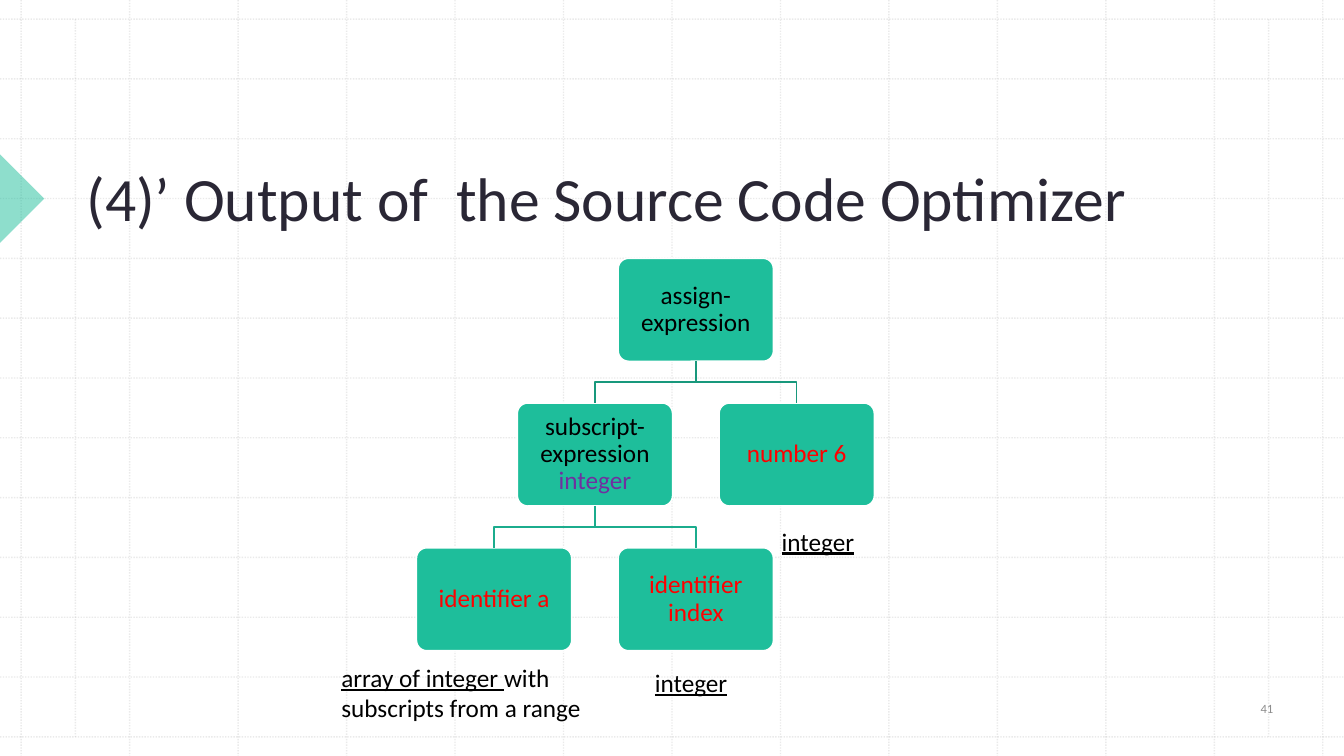
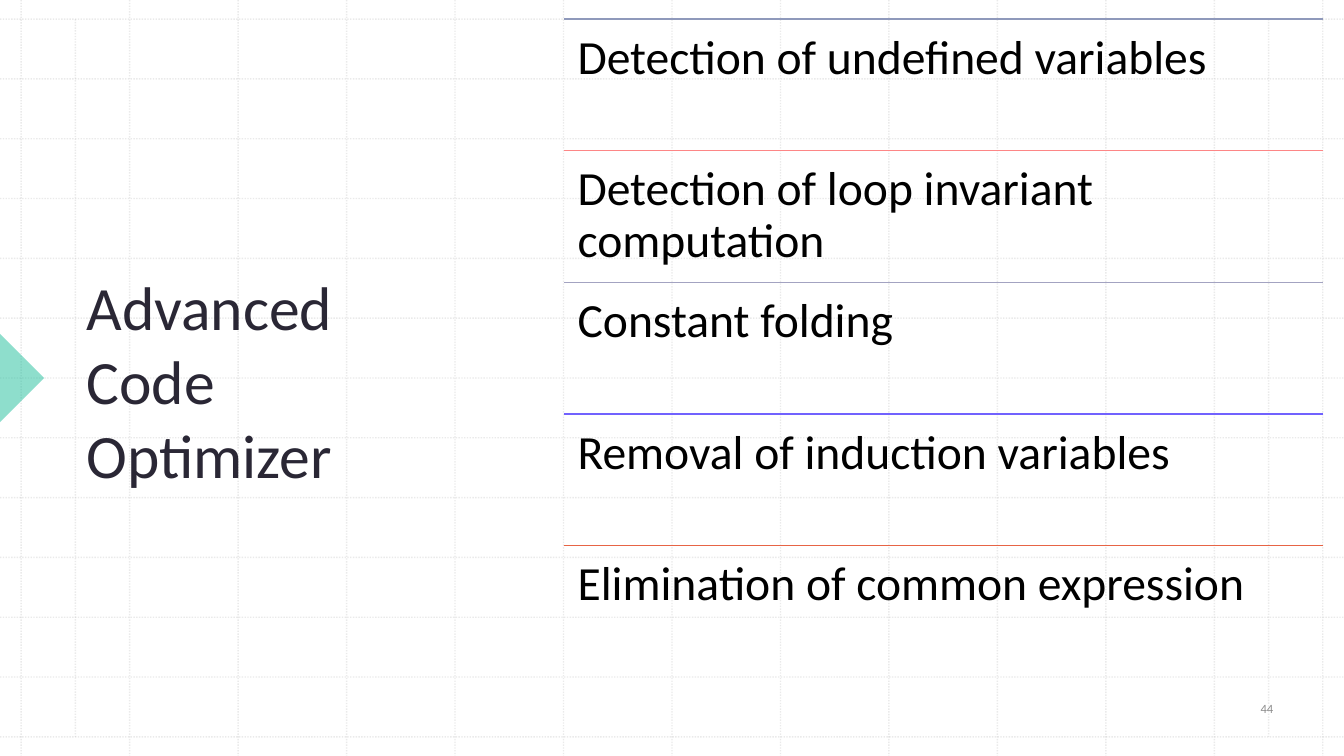
from lxml import etree
from pptx import Presentation
from pptx import util as u
from pptx.dml import color
from pptx.enum import dml, shapes, text
from pptx.oxml import ns

WIDTH, HEIGHT = 13.33, 7.5
CELLS = 12
LEFT, TOP = 0.21, 0.19
COLUMN = (13.12 - LEFT) / CELLS
ROW = (7.31 - TOP) / CELLS

FONT = "Calibri"
GREEN, WHITE, BLACK, RED, PURPLE = "1EBE9B", "FFFFFF", "000000", "FF0000", "7030A0"
GRID, TITLE, NUMBER = "BCBCBC", "2A2735", "8C8C8C"
UPPER_EDGE, LOWER_EDGE = "18987C", "1BAC8D"

NODE_WIDTH, NODE_HEIGHT = 1.43, 1.72
LEVEL_STEP, SIBLING_STEP = 2.42, 0.93
ROOT_COLUMN, ROOT_ROW = 6.22, 4
ITEM_ROWS = 2.2

NODES = {
    "assign": (0, 0, [("assign-expression", BLACK)]),
    "subscript": (-1, 1, [("subscript-expression\n", BLACK), ("integer", PURPLE)]),
    "number": (1, 1, [("number 6", RED)]),
    "identifier": (-2, 2, [("identifier a", RED)]),
    "index": (0, 2, [("identifier index", RED)]),
}
EDGES = [
    ("assign", "subscript", UPPER_EDGE),
    ("assign", "number", UPPER_EDGE),
    ("subscript", "identifier", LOWER_EDGE),
    ("subscript", "index", LOWER_EDGE),
]
LABELS = [
    ((2.86, 10.67, 2.73, 1.2), [("array of integer ", True), ("with subscripts from a range", False)]),
    ((5.75, 10.75, 0.94, 0.67), [("integer", True)]),
    ((6.92, 8.39, 0.94, 0.67), [("integer", True)]),
]
ITEMS = [
    ("Detection of undefined variables", "8F99BB"),
    ("Detection of loop invariant computation", "FD8686"),
    ("Constant folding", "A3A3C1"),
    ("Removal of induction variables", "7162FE"),
    ("Elimination of common expression", "E76445"),
]


def rgb(value):
    """Turn a hex string into a colour."""
    return color.RGBColor.from_string(value)


def x(column):
    """Horizontal position of a grid column."""
    return u.Inches(LEFT + column * COLUMN)


def y(row):
    """Vertical position of a grid row."""
    return u.Inches(TOP + row * ROW)


def box(column, row, columns, rows):
    """Left, top, width and height of a block of grid cells."""
    return x(column), y(row), u.Inches(columns * COLUMN), u.Inches(rows * ROW)


def set_alpha(fill, percent):
    """Make a solid fill partly transparent."""
    solid = fill._xPr.find(ns.qn("a:solidFill"))
    etree.SubElement(solid[0], ns.qn("a:alpha"), val=str(percent * 1000))


def add_line(slide, start, end, line_color, dash=None, alpha=None):
    """Draw a straight one-point line."""
    line = slide.shapes.add_connector(shapes.MSO_CONNECTOR.STRAIGHT, *start, *end)
    line.line.width = u.Pt(1)
    line.line.color.rgb = rgb(line_color)
    if dash:
        line.line.dash_style = dash
    if alpha:
        set_alpha(line.line.fill, alpha)
    etree.SubElement(line._element.spPr, ns.qn("a:effectLst"))


def write(shape, runs, size, align=text.PP_ALIGN.LEFT, anchor=text.MSO_ANCHOR.TOP,
          inset=None, spacing=1.0):
    """Fill a shape with one paragraph of (text, colour, underline) runs."""
    frame = shape.text_frame
    frame.word_wrap = True
    frame.vertical_anchor = anchor
    if inset is not None:
        frame.margin_left = frame.margin_right = u.Inches(inset)
        frame.margin_top = frame.margin_bottom = u.Inches(inset)
    paragraph = frame.paragraphs[0]
    paragraph.alignment = align
    paragraph.line_spacing = spacing
    paragraph.font.size = u.Pt(size)
    for words, run_color, underline in runs:
        run = paragraph.add_run()
        run.text = words.rstrip("\n")
        run.font.name = FONT
        run.font.size = u.Pt(size)
        run.font.color.rgb = rgb(run_color)
        run.font.underline = underline
        if words.endswith("\n"):
            paragraph.add_line_break()


def add_text(slide, place, runs, size, **layout):
    """Add a text box on a block of grid cells."""
    write(slide.shapes.add_textbox(*box(*place)), runs, size, **layout)


def add_grid(slide):
    """Draw the dotted background grid."""
    right, bottom = u.Inches(WIDTH), u.Inches(HEIGHT)
    lines = [((x(i), 0), (x(i), bottom)) for i in range(CELLS + 1)]
    lines += [((0, y(i)), (right, y(i))) for i in range(CELLS + 1)]
    lines += [((x(i), y(0)), (x(i), y(CELLS))) for i in (0.5, CELLS - 0.5)]
    for start, end in lines:
        add_line(slide, start, end, GRID, dml.MSO_LINE.ROUND_DOT, 30)


def add_marker(slide, row):
    """Add the arrowhead on the left edge, centred on a grid row."""
    side = u.Inches(0.62)
    marker = slide.shapes.add_shape(
        shapes.MSO_SHAPE.RIGHT_TRIANGLE, -side // 2, y(row) - side // 2, side, side)
    marker.rotation = 225
    marker.shadow.inherit = False
    marker.fill.solid()
    marker.fill.fore_color.rgb = rgb(GREEN)
    set_alpha(marker.fill, 50)
    marker.line.fill.background()


def add_slide(presentation, title, place, anchor, marker_row, number):
    """Add a slide with grid, marker, title and slide number."""
    slide = presentation.slides.add_slide(presentation.slide_layouts[6])
    add_grid(slide)
    add_marker(slide, marker_row)
    add_text(slide, place, [(title, TITLE, False)], 44, anchor=anchor)
    add_text(slide, (10.99, 11.14, 0.99, 0.78), [(number, NUMBER, False)], 9,
             align=text.PP_ALIGN.CENTER, anchor=text.MSO_ANCHOR.MIDDLE)
    return slide


def node_top(name):
    """Column of a node's centre and row of its top edge."""
    offset, level, _ = NODES[name]
    return ROOT_COLUMN + offset * SIBLING_STEP, ROOT_ROW + level * LEVEL_STEP


def add_edge(slide, parent, child, edge_color):
    """Draw the stepped line from a parent down to a child."""
    start, top = node_top(parent)
    end, bottom = node_top(child)
    top += NODE_HEIGHT
    middle = (top + bottom) / 2
    builder = slide.shapes.build_freeform(x(start), y(top))
    builder.add_line_segments(
        [(x(start), y(middle)), (x(end), y(middle)), (x(end), y(bottom))], close=False)
    edge = builder.convert_to_shape()
    edge.shadow.inherit = False
    edge.fill.background()
    edge.line.color.rgb = rgb(edge_color)
    edge.line.width = u.Pt(1)


def add_node(slide, name):
    """Draw one rounded tree node with its text."""
    center, top = node_top(name)
    node = slide.shapes.add_shape(
        shapes.MSO_SHAPE.ROUNDED_RECTANGLE,
        *box(center - NODE_WIDTH / 2, top, NODE_WIDTH, NODE_HEIGHT))
    node.adjustments[0] = 0.1
    node.shadow.inherit = False
    node.fill.solid()
    node.fill.fore_color.rgb = rgb(GREEN)
    node.line.color.rgb = rgb(WHITE)
    node.line.width = u.Pt(1)
    runs = [(words, run_color, False) for words, run_color in NODES[name][2]]
    write(node, runs, 18, align=text.PP_ALIGN.CENTER, anchor=text.MSO_ANCHOR.MIDDLE,
          inset=0.08, spacing=0.9)


def add_tree(slide):
    """Draw the syntax tree with its type labels."""
    for name in NODES:
        add_node(slide, name)
    for edge in EDGES:
        add_edge(slide, *edge)
    for place, runs in LABELS:
        add_text(slide, place, [(words, BLACK, underline) for words, underline in runs], 18)


def add_list(slide):
    """Draw the ruled list of optimizations."""
    for i, (words, line_color) in enumerate(ITEMS):
        row = i * ITEM_ROWS
        add_line(slide, (x(5), y(row)), (x(CELLS), y(row)), line_color)
        add_text(slide, (5, row, CELLS - 5, ITEM_ROWS), [(words, BLACK, False)], 34,
                 inset=0.14, spacing=0.9)


def main():
    """Build and save the presentation."""
    presentation = Presentation()
    presentation.slide_width = u.Inches(WIDTH)
    presentation.slide_height = u.Inches(HEIGHT)
    add_tree(add_slide(presentation, "(4)’ Output of  the Source Code Optimizer",
                       (0.51, 1.01, 10.49, 2.66), text.MSO_ANCHOR.BOTTOM, 3, "41"))
    add_list(add_slide(presentation, "Advanced Code Optimizer",
                       (0.51, 1.01, 3.49, 10.03), text.MSO_ANCHOR.MIDDLE, 6, "44"))
    presentation.save("out.pptx")


if __name__ == "__main__":
    main()
